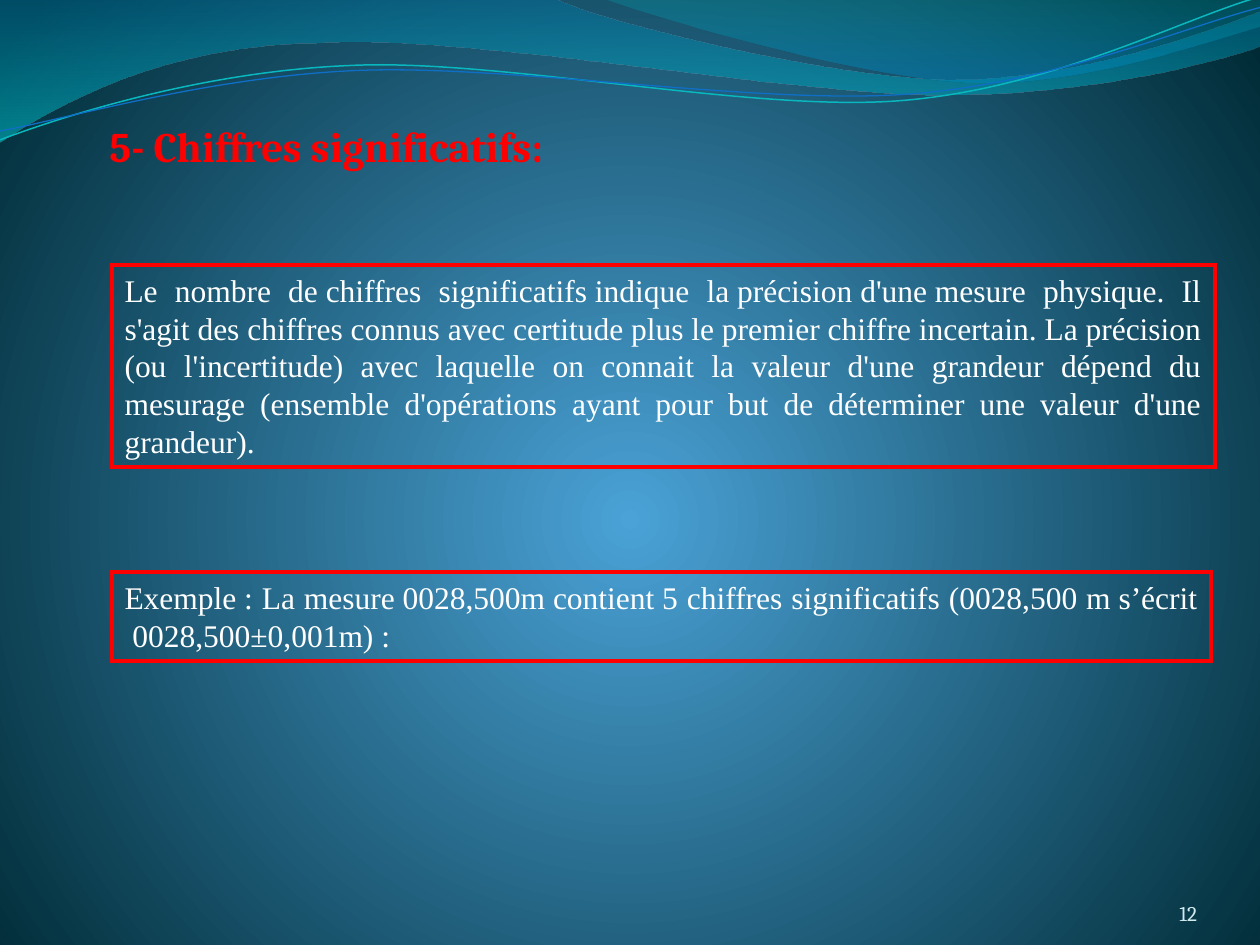
"""Build slide 12 on significant figures, with a wave banner over a radial background."""
from math import cos, radians, sin

from pptx import Presentation
from pptx.dml.color import RGBColor
from pptx.enum.shapes import MSO_SHAPE
from pptx.enum.text import MSO_ANCHOR, MSO_AUTO_SIZE, PP_ALIGN
from pptx.oxml import parse_xml
from pptx.oxml.ns import nsdecls, qn
from pptx.util import Inches, Pt

RECT = MSO_SHAPE.RECTANGLE
TOP, BOTTOM = MSO_ANCHOR.TOP, MSO_ANCHOR.BOTTOM
LEFT, RIGHT, JUSTIFY = PP_ALIGN.LEFT, PP_ALIGN.RIGHT, PP_ALIGN.JUSTIFY
GROW, FIXED = MSO_AUTO_SIZE.SHAPE_TO_FIT_TEXT, MSO_AUTO_SIZE.NONE
FIXED_SPACE = chr(160)
TILT = -2.7

COLORS = {
    "glow": "4AA2D6", "night": "002B36", "red": "FF0000", "white": "FFFFFF",
    "number": "D1EAED", "blue": "0074A0", "aqua": "00C4CD", "azure": "008ABF",
    "teal": "00A0A8", "cyan_line": "09B7BF", "blue_line": "0F6FC6",
}

BACKGROUND = ([(0, "glow", 100), (100, "night", 100)],
              '<a:path path="circle"><a:fillToRect l="50000" t="55000" r="50000" b="45000"/></a:path>')

BANDS = [
    {"start": (0, 0), "angle": 90, "stops": [(0, "blue", 45), (100, "aqua", 55)],
     "segments": [[(4.4, -0.01)],
                  [(4.76, 0.17), (6.64, 0.63), (7.58, 0.63)],
                  [(8.53, 0.63), (9.58, 0.26), (10, 0.09)],
                  [(10.01, 0.36)],
                  [(9.83, 0.44), (8.7, 0.76), (7.46, 0.75)],
                  [(6.22, 0.75), (3.82, 0.28), (2.57, 0.34)],
                  [(1.29, 0.35), (0.46, 0.83), (-0.01, 1.13)],
                  [(0, 0)]]},
    {"start": (4.79, -0.01), "angle": 270, "stops": [(20, "azure", 45), (100, "teal", 30)],
     "segments": [[(5.09, 0.11), (6.82, 0.62), (7.69, 0.65)],
                  [(8.56, 0.69), (9.61, 0.32), (10, 0.21)],
                  [(10, 0)],
                  [(4.79, -0.01)]]},
]
WAVES = [
    {"start": (0, 1.11), "color": "cyan_line", "width": 0.85, "center": (4.99, 0.58),
     "segments": [[(0.48, 0.93), (1.58, 0.57), (2.77, 0.52)],
                  [(3.95, 0.46), (5.93, 0.89), (7.13, 0.8)],
                  [(8.33, 0.71), (9.38, 0.15), (9.98, -0.02)]]},
    {"start": (0, 1.04), "color": "blue_line", "width": 0.75, "center": (5, 0.59),
     "segments": [[(0.47, 0.96), (1.64, 0.61), (2.83, 0.56)],
                  [(4.03, 0.51), (5.97, 0.83), (7.17, 0.75)],
                  [(8.36, 0.67), (9.41, 0.21), (10, 0.06)]]},
]

# A tilde stands for a space that justification does not stretch.
NUMBER = ("12", (8.67, 6.95, 0.83, 0.4))
TITLE = ("5- Chiffres significatifs:", (0.77, 0.91, 4.48, 0.5))
BOXES = [
    ("Le nombre de~chiffres significatifs~indique la~précision~d'une~mesure physique. "
     "Il s'agit des chiffres connus avec certitude plus le premier chiffre incertain. "
     "La précision (ou l'incertitude) avec laquelle on connait la valeur d'une grandeur "
     "dépend du mesurage (ensemble d'opérations ayant pour but de déterminer une valeur "
     "d'une grandeur).", (0.89, 2.1, 8.75, 1.61)),
    ("Exemple~: La mesure~0028,500m~contient~5 chiffres significatifs "
     "(0028,500 m~s’écrit ~0028,500±0,001m)~:", (0.89, 4.54, 8.72, 0.71)),
]


def rgb(name):
    return RGBColor.from_string(COLORS[name])


def set_gradient(fill, element, stops, direction):
    fill.gradient()
    old = element.find(".//" + qn("a:gradFill"))
    items = "".join(
        f'<a:gs pos="{pos * 1000}"><a:srgbClr val="{COLORS[name]}">'
        f'<a:alpha val="{alpha * 1000}"/></a:srgbClr></a:gs>' for pos, name, alpha in stops)
    new = parse_xml(f'<a:gradFill {nsdecls("a")} rotWithShape="1">'
                    f'<a:gsLst>{items}</a:gsLst>{direction}</a:gradFill>')
    old.getparent().replace(old, new)


def turn(point, center, angle):
    (x, y), (cx, cy), a = point, center, radians(angle)
    return (cx + (x - cx) * cos(a) - (y - cy) * sin(a),
            cy + (x - cx) * sin(a) + (y - cy) * cos(a))


def add_curve(s, start, segments, close):
    builder = s.shapes.build_freeform(*map(Inches, start))
    builder.add_line_segments([tuple(map(Inches, p)) for seg in segments for p in seg], close=close)
    sp = builder.convert_to_shape()
    sp.shadow.inherit = False
    lines = iter(list(sp.element.iter(qn("a:lnTo"))))
    for segment in segments:
        steps = [next(lines) for _ in segment]
        if len(steps) == 3:
            bezier = parse_xml(f'<a:cubicBezTo {nsdecls("a")}/>')
            steps[0].addprevious(bezier)
            for step in steps:
                bezier.append(step[0])
                step.getparent().remove(step)
    return sp


def write(sp, text, font, size, color, bold=False, align=LEFT, anchor=TOP,
          auto_size=GROW, inset=(0.1, 0.05)):
    tf = sp.text_frame
    x, y = map(Inches, inset)
    frame = {"word_wrap": True, "auto_size": auto_size, "vertical_anchor": anchor,
             "margin_left": x, "margin_right": x, "margin_top": y, "margin_bottom": y}
    for key, value in frame.items():
        setattr(tf, key, value)
    p = tf.paragraphs[0]
    p.alignment = align
    r = p.add_run()
    r.text = text.replace("~", FIXED_SPACE)
    for key, value in {"name": font, "size": Pt(size), "bold": bold}.items():
        setattr(r.font, key, value)
    r.font.color.rgb = rgb(color)


def set_line(sp, color, width):
    sp.fill.background()
    sp.line.color.rgb = rgb(color)
    sp.line.width = Pt(width)


def main():
    prs = Presentation()
    prs.slide_width, prs.slide_height = Inches(10), Inches(7.5)
    s = prs.slides.add_slide(prs.slide_layouts[6])
    set_gradient(s.background.fill, s.element, *BACKGROUND)

    for band in BANDS:
        sp = add_curve(s, band["start"], band["segments"], True)
        sp.line.fill.background()
        set_gradient(sp.fill, sp.element, band["stops"],
                     f'<a:lin ang="{band["angle"] * 60000}" scaled="0"/>')
    for wave in WAVES:
        start = turn(wave["start"], wave["center"], -TILT)
        segments = [[turn(p, wave["center"], -TILT) for p in seg] for seg in wave["segments"]]
        sp = add_curve(s, start, segments, False)
        sp.rotation = TILT
        set_line(sp, wave["color"], wave["width"])

    text, place = NUMBER
    write(s.shapes.add_textbox(*map(Inches, place)), text, "Cambria", 12, "number",
          align=RIGHT, anchor=BOTTOM, auto_size=FIXED, inset=(0, 0))
    text, place = TITLE
    write(s.shapes.add_textbox(*map(Inches, place)), text, "Cambria", 24, "red", bold=True)

    for text, place in BOXES:
        sp = s.shapes.add_shape(RECT, *map(Inches, place))
        sp.shadow.inherit = False
        set_line(sp, "red", 2.25)
        sp.line.fill.solid()
        sp.line.color.rgb = rgb("red")
        sp.element.find(".//" + qn("a:ln")).append(
            parse_xml(f'<a:miter {nsdecls("a")} lim="800000"/>'))
        write(sp, text, "Times New Roman", 18, "white", align=JUSTIFY)

    prs.save("out.pptx")


if __name__ == "__main__":
    main()
